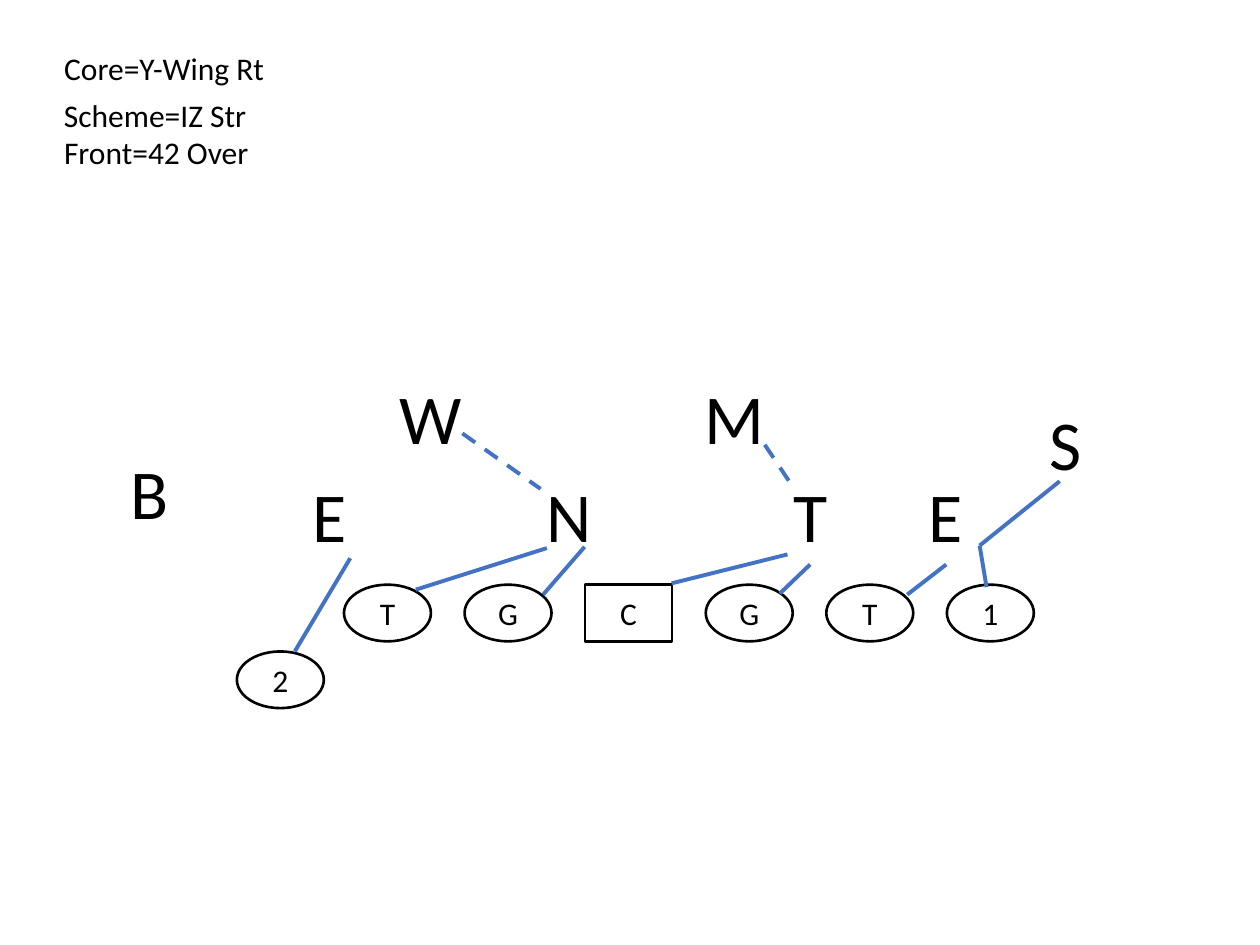
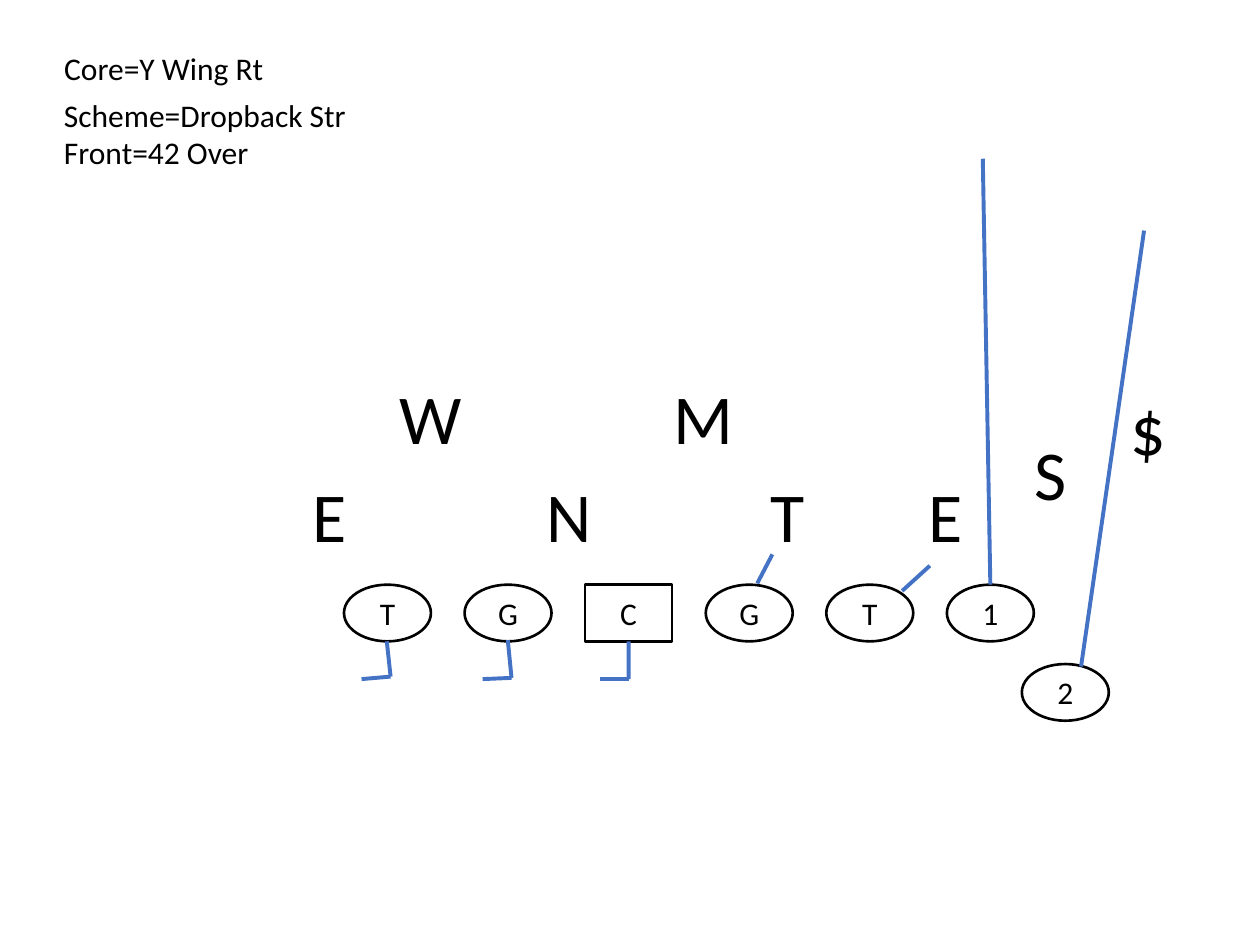
from dataclasses import dataclass
from itertools import pairwise
from lxml.etree import SubElement
from pptx import Presentation
from pptx.dml.color import RGBColor
from pptx.enum.dml import MSO_LINE
from pptx.enum.shapes import MSO_CONNECTOR, MSO_SHAPE
from pptx.enum.text import MSO_ANCHOR, MSO_AUTO_SIZE, PP_ALIGN
from pptx.oxml.ns import qn
from pptx.util import Inches, Pt

COLS, ROWS = 100, 75
WIDE, HIGH = Inches(10), Inches(7.5)
BLACK, WHITE, BLUE = "000000", "FFFFFF", "4472C4"
SMALL = {"size": Pt(18), "name": "Calibri", "bold": False}
LARGE = {**SMALL, "size": Pt(40)}
LABEL = {"word_wrap": False, "auto_size": MSO_AUTO_SIZE.SHAPE_TO_FIT_TEXT}
TITLE = {"word_wrap": False, "auto_size": MSO_AUTO_SIZE.NONE,
         "vertical_anchor": MSO_ANCHOR.TOP}
TOKEN = {"word_wrap": True, "vertical_anchor": MSO_ANCHOR.MIDDLE}
LINE = "TGCGT1"
STEP, FIRST, SNAP = 9.57, 27.3, 36.4
SPAN = {"W": 7, "M": 7, "N": 5.6, "B": 5.1, "$": 4.9}
FRONT = [("E", 23.8, 27), ("N", 42.4, 27), ("E", 72.7, 27), ("W", 30.7, 19.2)]


@dataclass
class Box:
    """A region whose corner is given in grid columns and rows."""
    left: float
    top: float

    def spot(self, col, row):
        """Return the slide position of a point in the region."""
        return (round((self.left + col) * WIDE / COLS),
                round((self.top + row) * HIGH / ROWS))

    def area(self, col, row, wide, high):
        """Return left, top, width and height on the slide."""
        return (*self.spot(col, row), round(wide * WIDE / COLS),
                round(high * HIGH / ROWS))


HEAD, FIELD = Box(4.1, 3.4), Box(0, 10)


def tint(code):
    """Turn a hex string into a colour."""
    return RGBColor.from_string(code)


def style(item, form):
    """Set each value of a format on an item."""
    for key, value in form.items():
        setattr(item, key, value)


def write(shape, text, frame, font, align=PP_ALIGN.LEFT):
    """Put formatted text in a shape."""
    style(shape.text_frame, frame)
    para = shape.text_frame.paragraphs[0]
    para.text, para.alignment = text, align
    style(para.font, font)
    para.font.color.rgb = tint(BLACK)


def label(slide, area, text, font):
    """Add a one-line text box."""
    write(slide.shapes.add_textbox(*area), text, LABEL, font)


def header(slide, box, lines):
    """Place the core as title, with the scheme and front below."""
    (core, wide), *rest = lines
    title = slide.shapes.title
    style(title, dict(zip(("left", "top", "width", "height"),
                          box.area(0, 0, wide, 4))))
    write(title, core, TITLE, SMALL)
    for row, (text, wide) in zip((3.7, 6.7), rest):
        label(slide, box.area(0, row, wide, 4), text, SMALL)


def player(slide, box, text, col, row):
    """Draw one offensive player; the center is a square."""
    kind = MSO_SHAPE.RECTANGLE if text == "C" else MSO_SHAPE.OVAL
    shape = slide.shapes.add_shape(kind, *box.area(col, row, 6.9, 4.5))
    shape.shadow.inherit = False
    shape.fill.solid()
    shape.fill.fore_color.rgb = tint(WHITE)
    shape.line.color.rgb = tint(BLACK)
    shape.line.width = Pt(1.5)
    write(shape, text, TOKEN, SMALL, PP_ALIGN.CENTER)
    return shape


def stroke(slide, start, end, dash=False):
    """Draw one straight part of a route."""
    line = slide.shapes.add_connector(MSO_CONNECTOR.STRAIGHT, *start, *end)
    line.line.color.rgb = tint(BLUE)
    line.line.width = Pt(2.25)
    if dash:
        line.line.dash_style = MSO_LINE.DASH
    SubElement(line._element.spPr, qn("a:effectLst"))
    return line


def field(slide, box, wing, backs, routes, dashes=(), joins=()):
    """Place the linemen, the wing, the defense and the routes."""
    team = {}
    for i, name in enumerate(LINE):
        team[name] = player(slide, box, name, FIRST + i * STEP, SNAP)
    player(slide, box, "2", *wing)
    for name, col, row in FRONT + backs:
        area = box.area(col, row, SPAN.get(name, 4.8), 7.7)
        label(slide, area, name, LARGE)
    for group, dash in ((routes, False), (dashes, True)):
        for route in group:
            for start, end in pairwise(route):
                stroke(slide, box.spot(*start), box.spot(*end), dash)
    for name, site, end in joins:
        point = box.spot(*end)
        stroke(slide, point, point).begin_connect(team[name], site)


ZONE = {
    "wing": (18.8, 41.7),
    "backs": [("T", 62, 27), ("M", 54.9, 19.2), ("S", 82.3, 21.3),
              ("B", 9.4, 25.2)],
    "routes": [[(75.1, 34.8), (72, 37.2)],
               [(84.1, 28.2), (77.75, 33.3), (78.3, 36.6)],
               [(64.3, 34.8), (61.9, 37.1)],
               [(62.5, 34), (53.3, 36.3)],
               [(46.4, 33.4), (43.1, 37.2)],
               [(43.4, 33.5), (33, 36.8)],
               [(27.8, 34.3), (23.4, 41.7)]],
    "dashes": [[(60.7, 25.3), (63.1, 28.9)], [(36.7, 24.4), (42.9, 28.8)]],
}
DROP = {
    "wing": (81.1, 42.7),
    "backs": [("T", 60.2, 27), ("M", 52.5, 19.2), ("S", 81.1, 23.7),
              ("$", 88.7, 20.1)],
    "routes": [[(90.8, 8.3), (85.8, 42.9)],
               [(73.8, 34.9), (71.6, 36.9)],
               [(61.3, 34), (60.1, 36.3)],
               [(30.7, 40.9), (31, 43.7), (28.7, 43.9)],
               [(40.3, 40.8), (40.6, 43.8), (38.3, 43.9)],
               [(49.9, 43.9), (47.6, 43.9)]],
    "joins": [("1", 0, (78, 2.6)), ("C", 2, (49.9, 43.9))],
}
PLAYS = [
    ([("Core=Y-Wing Rt", 18.2), ("Scheme=IZ Str", 16.6),
      ("Front=42 Over", 16.8)], ZONE),
    ([("Core=Y Wing Rt", 18), ("Scheme=Dropback Str", 24.6),
      ("Front=42 Over", 17.4)], DROP),
]


def main():
    """Build and save the deck."""
    deck = Presentation()
    deck.slide_width, deck.slide_height = WIDE, HIGH
    for lines, play in PLAYS:
        slide = deck.slides.add_slide(deck.slide_layouts[5])
        header(slide, HEAD, lines)
        field(slide, FIELD, **play)
    deck.save("out.pptx")


if __name__ == "__main__":
    main()
